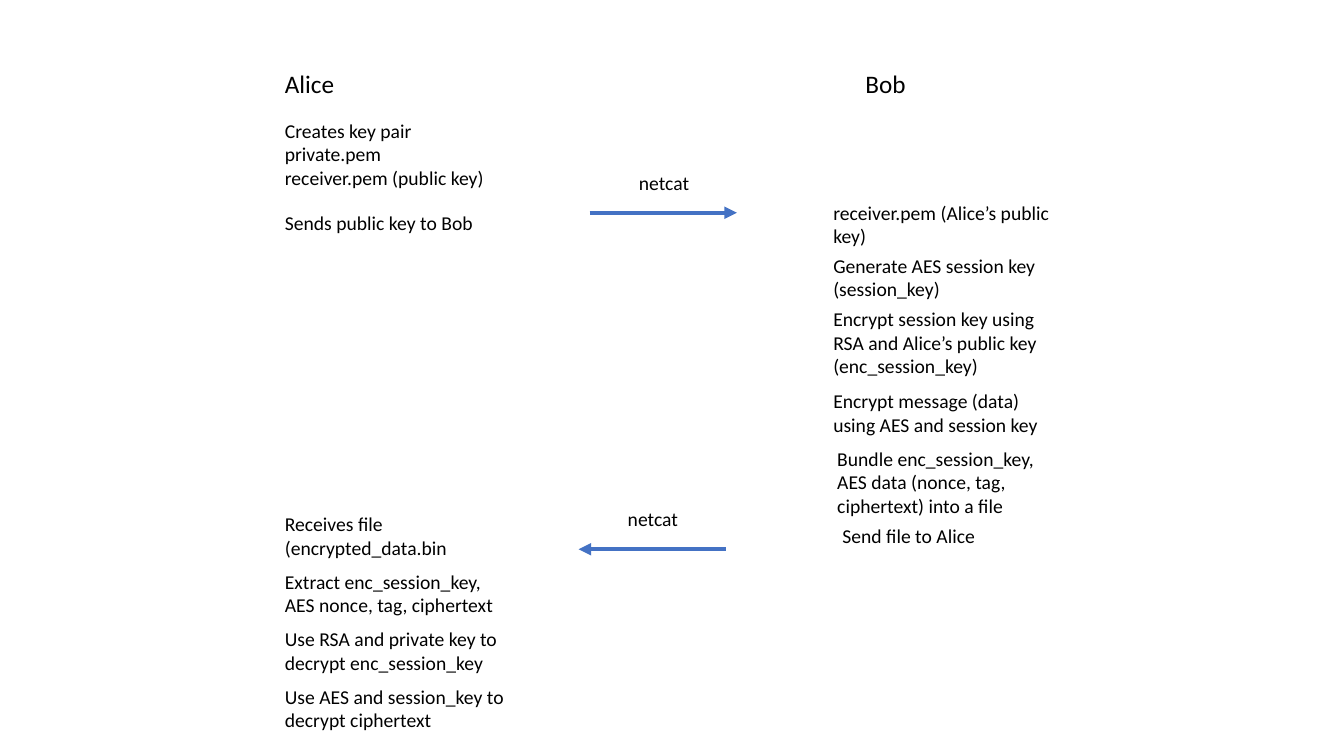
from dataclasses import dataclass

from lxml import etree
from pptx import Presentation
from pptx import util as u
from pptx.dml.color import RGBColor
from pptx.enum import shapes, text
from pptx.oxml.ns import qn


@dataclass(frozen=True)
class Theme:
    font: str = "Calibri"
    ink: RGBColor = RGBColor(0, 0, 0)
    blue: RGBColor = RGBColor(0x44, 0x72, 0xC4)
    head: int = 18
    body: int = 14
    line: int = 3


THEME = Theme()
LEFT, RIGHT = 6.93, 20.75
STEP_W, HEAD_W, TAG_W = 6.17, 2.67, 2.18
HEAD_TOP, HEAD_H = 1.6, 1.02
PAD, LINE_H = 0.26, 0.6
ARROW_W = 3.71
TAG_DX, TAG_DY = 0.99, 1.19

# left, top, number of lines, paragraphs
STEPS = [
    (LEFT, 2.87, 3, ["Creates key pair", "private.pem", "receiver.pem (public key)"]),
    (LEFT, 5.18, 1, ["Sends public key to Bob"]),
    (RIGHT, 4.93, 2, ["receiver.pem (Alice’s public key)"]),
    (RIGHT, 6.27, 2, ["Generate AES session key (session_key)"]),
    (RIGHT, 7.62, 3, ["Encrypt session key using RSA and Alice’s public key (enc_session_key)"]),
    (RIGHT, 9.68, 2, ["Encrypt message (data) using AES and session key"]),
    (20.85, 11.13, 3, ["Bundle enc_session_key, AES data (nonce, tag, ciphertext) into a file"]),
    (20.98, 13.08, 1, ["Send file to Alice"]),
]
DECRYPT = [
    "Receives file (encrypted_data.bin",
    "Extract enc_session_key, AES nonce, tag, ciphertext",
    "Use RSA and private key to decrypt enc_session_key",
    "Use AES and session_key to decrypt ciphertext",
]
DECRYPT_TOP, DECRYPT_GAP = 12.78, 1.45


def add_text(slide, left, top, width, height, paras, size=THEME.body):
    box = slide.shapes.add_textbox(*map(u.Cm, (left, top, width, height)))
    frame = box.text_frame
    frame.word_wrap = True
    frame.auto_size = text.MSO_AUTO_SIZE.SHAPE_TO_FIT_TEXT
    frame.text = "\n".join(paras)
    style = {"name": THEME.font, "size": u.Pt(size)}
    for para in frame.paragraphs:
        for run in para.runs:
            for key, value in style.items():
                setattr(run.font, key, value)
            run.font.color.rgb = THEME.ink


def add_step(slide, left, top, lines, paras, width=STEP_W):
    add_text(slide, left, top, width, PAD + lines * LINE_H, paras)


def add_send(slide, left, top, end):
    """Draw a labelled arrow; end is a:tailEnd (to the right) or a:headEnd."""
    add_step(slide, left + TAG_DX, top - TAG_DY, 1, ["netcat"], TAG_W)
    arrow = slide.shapes.add_connector(
        shapes.MSO_CONNECTOR.STRAIGHT,
        *map(u.Cm, (left, top, left + ARROW_W, top)))
    arrow.line.color.rgb = THEME.blue
    arrow.line.width = u.Pt(THEME.line)
    props = arrow._element.spPr
    etree.SubElement(props.find(qn("a:ln")), qn(end), type="triangle")
    etree.SubElement(props, qn("a:effectLst"))


def main():
    deck = Presentation()
    deck.slide_width, deck.slide_height = u.Cm(33.87), u.Cm(19.05)
    slide = deck.slides.add_slide(deck.slide_layouts.get_by_name("Blank"))

    for name, left in (("Alice", LEFT), ("Bob", 21.56)):
        add_text(slide, left, HEAD_TOP, HEAD_W, HEAD_H, [name], THEME.head)
    for step in STEPS:
        add_step(slide, *step)
    for row, step in enumerate(DECRYPT):
        add_step(slide, LEFT, DECRYPT_TOP + row * DECRYPT_GAP, 2, [step])
    add_send(slide, 14.86, 5.36, "a:tailEnd")
    add_send(slide, 14.58, 13.84, "a:headEnd")

    deck.save("out.pptx")


if __name__ == "__main__":
    main()
